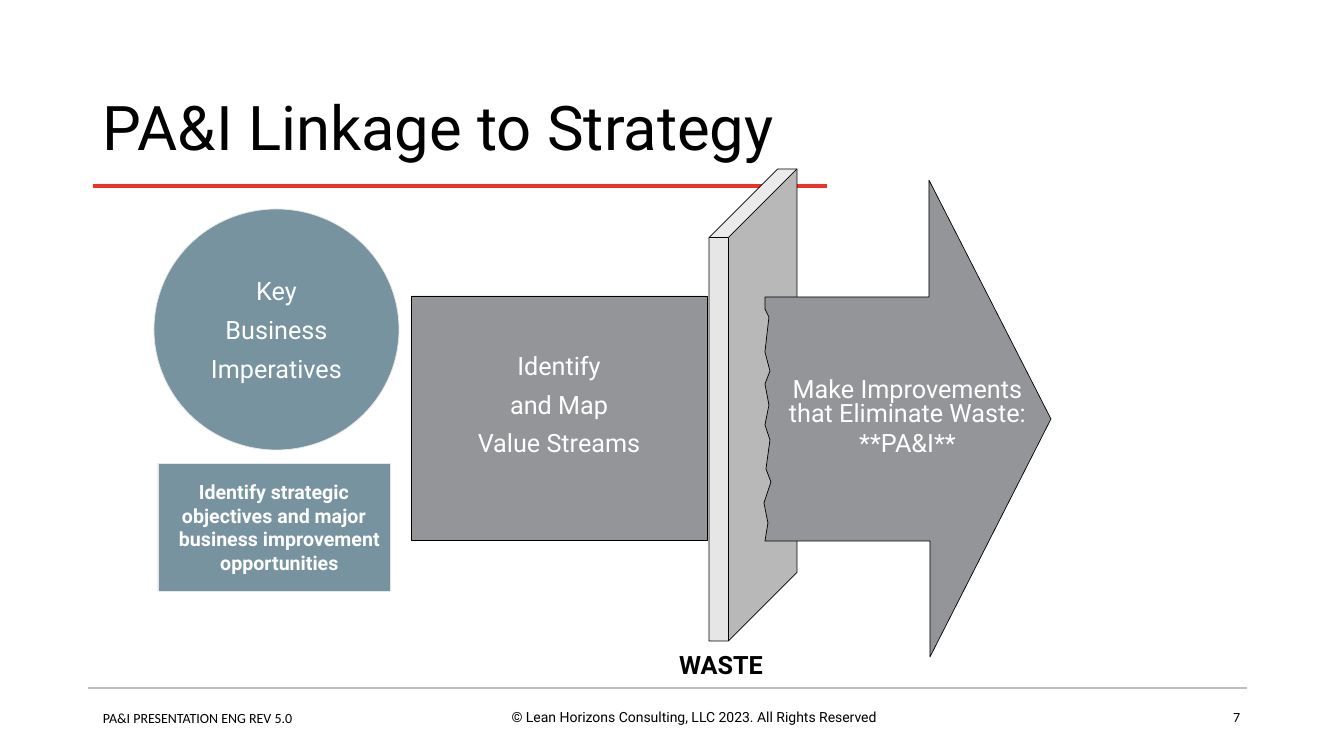
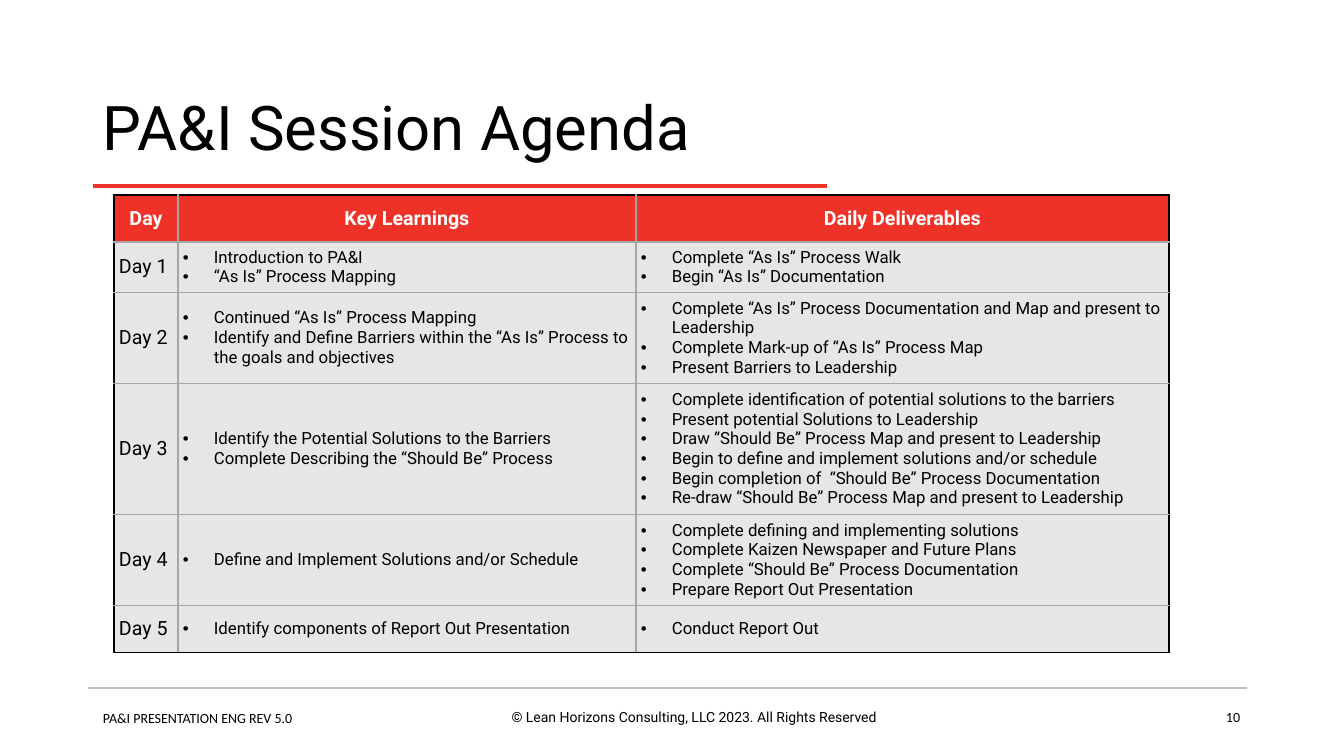
from copy import deepcopy

from lxml.etree import SubElement
from pptx import Presentation
from pptx.dml.color import RGBColor
from pptx.enum.shapes import MSO_CONNECTOR, MSO_SHAPE
from pptx.enum.text import MSO_ANCHOR, PP_ALIGN
from pptx.oxml.ns import qn
from pptx.util import Emu, Pt

SCALE = 914400 / 100.8
BLACK = RGBColor(0x00, 0x00, 0x00)
WHITE = RGBColor(0xFF, 0xFF, 0xFF)
RED = RGBColor(0xEE, 0x32, 0x28)
TEAL = RGBColor(0x76, 0x93, 0x9F)
GRAY = RGBColor(0x93, 0x95, 0x98)
PALE = RGBColor(0xE7, 0xE6, 0xE6)
RULE_GRAY = RGBColor(0xBF, 0xBF, 0xBF)
GRID_GRAY = RGBColor(0xA6, 0xA6, 0xA6)
BODY_FONT = "Roboto"
FOOTER_FONT = "Calibri"
INSET = 5
BULLET_INDENT = 31

TORN_ARROW = [
    (1, 117), (165, 117), (165, 0), (287, 239), (166, 477), (166, 361), (1, 361),
    (4, 343), (0, 323), (7, 302), (2, 289), (6, 260), (1, 245), (5, 225),
    (1, 204), (6, 191), (1, 172), (5, 137), (1, 129),
]
COLUMN_WIDTHS = [64, 458, 533]
ROW_HEIGHTS = [47, 50, 91, 131, 91, 47]
HEADINGS = ["Day", "Key Learnings", "Daily Deliverables"]
AGENDA = [
    (["Introduction to PA&I", "“As Is” Process Mapping"],
     ["Complete “As Is” Process Walk", "Begin “As Is” Documentation"]),
    (["Continued “As Is” Process Mapping",
      "Identify and Define Barriers within the “As Is” Process to the goals and objectives"],
     ["Complete “As Is” Process Documentation and Map and present to Leadership",
      "Complete Mark-up of “As Is” Process Map",
      "Present Barriers to Leadership"]),
    (["Identify the Potential Solutions to the Barriers",
      "Complete Describing the “Should Be” Process"],
     ["Complete identification of potential solutions to the barriers",
      "Present potential Solutions to Leadership",
      "Draw “Should Be” Process Map and present to Leadership",
      "Begin to define and implement solutions and/or schedule",
      "Begin completion of  “Should Be” Process Documentation",
      "Re-draw “Should Be” Process Map and present to Leadership"]),
    (["Define and Implement Solutions and/or Schedule"],
     ["Complete defining and implementing solutions",
      "Complete Kaizen Newspaper and Future Plans",
      "Complete “Should Be” Process Documentation",
      "Prepare Report Out Presentation"]),
    (["Identify components of Report Out Presentation"], ["Conduct Report Out"]),
]


def px(*lengths):
    """Turn pixel lengths into EMU."""
    return [Emu(round(length * SCALE)) for length in lengths]


def set_insets(target, bottom=INSET):
    """Give a text frame or table cell narrow margins."""
    sides = {"left": INSET, "top": INSET, "right": INSET, "bottom": bottom}
    for side, length in sides.items():
        setattr(target, f"margin_{side}", px(length)[0])


def hang(paragraph, indent, bullet=None):
    """Set a hanging indent, with a bullet if one is given."""
    properties = paragraph._p.get_or_add_pPr()
    length = px(indent)[0]
    properties.set("marL", str(length))
    properties.set("indent", str(-length))
    if bullet:
        SubElement(properties, qn("a:buFont"), typeface="Arial")
        SubElement(properties, qn("a:buChar"), char=bullet)


def write_text(frame, lines, size, color=BLACK, font=BODY_FONT, bold=False,
               align=PP_ALIGN.LEFT, spacing=None, gap=0, indent=0, bullet=None):
    """Fill a text frame with one paragraph per line."""
    for index, line in enumerate(lines):
        paragraph = frame.add_paragraph() if index else frame.paragraphs[0]
        paragraph.text = line
        if indent:
            hang(paragraph, indent, bullet)
        formats = {"alignment": align, "line_spacing": spacing,
                   "space_before": Pt(gap if index else 0)}
        for name, value in formats.items():
            setattr(paragraph, name, value)
        for run in paragraph.runs:
            for name, value in {"name": font, "size": Pt(size), "bold": bold}.items():
                setattr(run.font, name, value)
            run.font.color.rgb = color
        for line_break in paragraph._p.findall(qn("a:br")):
            line_break.insert(0, deepcopy(paragraph.runs[0]._r.rPr))


def add_label(slide, box, text, size, anchor=MSO_ANCHOR.TOP, **formats):
    """Add a wrapped text box."""
    frame = slide.shapes.add_textbox(*px(*box)).text_frame
    frame.word_wrap = True
    frame.vertical_anchor = anchor
    write_text(frame, [text], size, **formats)
    return frame


def add_rule(slide, left, right, y, color, width):
    """Draw a horizontal rule."""
    line = slide.shapes.add_connector(MSO_CONNECTOR.STRAIGHT, *px(left, y, right, y))
    line.line.color.rgb = color
    line.line.width = Pt(width)
    SubElement(line._element.spPr, qn("a:effectLst"))


def paint(shape, fill, outline):
    """Give a shape a flat fill and a thin outline."""
    shape.shadow.inherit = False
    shape.fill.solid()
    shape.fill.fore_color.rgb = fill
    shape.line.color.rgb = outline
    shape.line.width = Pt(0.5)


def fill_shape_text(shape, lines, size, wrap=False, bottom=INSET, **formats):
    """Write centred white text inside a shape."""
    frame = shape.text_frame
    frame.word_wrap = wrap
    frame.vertical_anchor = MSO_ANCHOR.MIDDLE
    set_insets(frame, bottom)
    write_text(frame, lines, size, color=WHITE, align=PP_ALIGN.CENTER, **formats)


def add_base_slide(presentation, title, number):
    """Add a blank slide with the shared title, rules and footers."""
    slide = presentation.slides.add_slide(presentation.slide_layouts[6])
    add_label(slide, (464, 704, 460, 44),
              "© Lean Horizons Consulting, LLC 2023. All Rights Reserved", 10,
              align=PP_ALIGN.CENTER)
    add_label(slide, (93, 705, 460, 44), "PA&I PRESENTATION ENG REV 5.0", 10,
              font=FOOTER_FONT)
    add_label(slide, (948, 704, 302, 36), str(number), 10, font=FOOTER_FONT,
              align=PP_ALIGN.RIGHT)
    add_rule(slide, 88, 1247, 688, RULE_GRAY, 2)
    add_rule(slide, 93, 827, 186, RED, 3)
    add_label(slide, (93, 75, 1159, 111), title, 44, MSO_ANCHOR.MIDDLE, spacing=0.9)
    return slide


def add_strategy_flow(slide, left, top):
    """Draw the flow from imperatives through waste to improvements."""
    def add_part(kind, x, y, width, height, fill, outline):
        """Add one painted shape at an offset in the flow."""
        shape = slide.shapes.add_shape(kind, *px(left + x, top + y, width, height))
        paint(shape, fill, outline)
        return shape

    imperatives = add_part(MSO_SHAPE.OVAL, 0, 40, 245, 241, TEAL, PALE)
    fill_shape_text(imperatives, ["Key", "Business", "Imperatives"], 18, gap=6)

    streams = add_part(MSO_SHAPE.RECTANGLE, 257, 127, 296, 244, GRAY, BLACK)
    fill_shape_text(streams, ["Identify", "and Map", "Value Streams"], 18, gap=6, bottom=33)

    wall = add_part(MSO_SHAPE.CUBE, 555, 0, 88, 472, PALE, BLACK)
    wall.adjustments[0] = 0.78

    builder = slide.shapes.build_freeform(*TORN_ARROW[0], scale=SCALE)
    builder.add_line_segments(TORN_ARROW[1:], close=True)
    arrow = builder.convert_to_shape(*px(left + 610, top + 11))
    paint(arrow, GRAY, BLACK)
    fill_shape_text(arrow, ["Make Improvements that Eliminate Waste:", "**PA&I**"], 18,
                    wrap=True, spacing=0.8, gap=4)

    waste = add_label(slide, (left + 505, top + 479, 124, 32), "WASTE", 18,
                      MSO_ANCHOR.MIDDLE, bold=True, align=PP_ALIGN.CENTER)
    set_insets(waste)

    objectives = add_part(MSO_SHAPE.RECTANGLE, 4, 294, 232, 128, TEAL, PALE)
    fill_shape_text(objectives, ["Identify strategic",
                                 "objectives and major\vbusiness improvement\vopportunities"],
                    14, bold=True, indent=11)


def style_cell(cell, fill, borders):
    """Set the fill, anchor and border colours of a cell."""
    cell.vertical_anchor = MSO_ANCHOR.MIDDLE
    properties = cell._tc.get_or_add_tcPr()
    for side, color in borders.items():
        line = SubElement(properties, qn(f"a:ln{side}"), w=str(Pt(1)))
        solid = SubElement(line, qn("a:solidFill"))
        SubElement(solid, qn("a:srgbClr"), val=str(color))
    cell.fill.solid()
    cell.fill.fore_color.rgb = fill


def add_agenda_table(slide, left, top):
    """Build the agenda table with a black frame and gray grid."""
    rows, columns = len(ROW_HEIGHTS), len(COLUMN_WIDTHS)
    box = px(left, top, sum(COLUMN_WIDTHS), sum(ROW_HEIGHTS))
    table = slide.shapes.add_table(rows, columns, *box).table
    table.first_row = table.horz_banding = False
    for column, width in zip(table.columns, px(*COLUMN_WIDTHS)):
        column.width = width
    for row, height in zip(table.rows, px(*ROW_HEIGHTS)):
        row.height = height

    for r in range(rows):
        for c in range(columns):
            cell = table.cell(r, c)
            edges = {"L": c == 0, "R": c == columns - 1, "T": r == 0, "B": r == rows - 1}
            borders = {side: BLACK if outer else GRID_GRAY for side, outer in edges.items()}
            style_cell(cell, PALE if r else RED, borders)
            if r == 0:
                write_text(cell.text_frame, [HEADINGS[c]], 14, color=WHITE, bold=True,
                           align=PP_ALIGN.CENTER)
                continue
            set_insets(cell)
            if c == 0:
                write_text(cell.text_frame, [f"Day {r}"], 14)
            else:
                write_text(cell.text_frame, AGENDA[r - 1][c - 1], 12,
                           indent=BULLET_INDENT, bullet="•")


def main():
    """Build and save the presentation."""
    presentation = Presentation()
    presentation.slide_width, presentation.slide_height = px(1344, 756)
    add_strategy_flow(add_base_slide(presentation, "PA&I Linkage to Strategy", 7), 154, 169)
    add_agenda_table(add_base_slide(presentation, "PA&I Session Agenda", 10), 114, 195)
    presentation.save("out.pptx")


if __name__ == "__main__":
    main()
